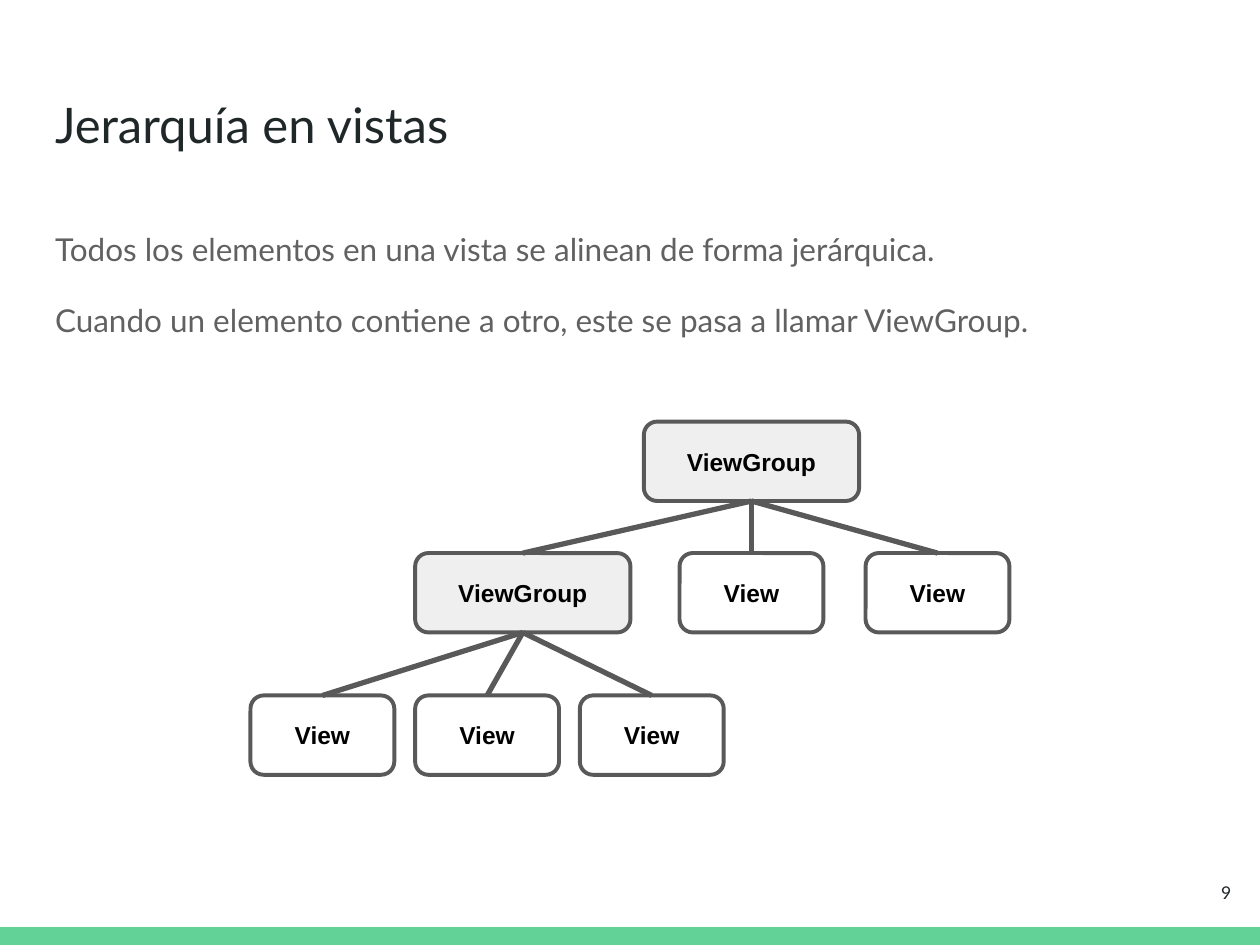
from lxml.etree import SubElement
from pptx import Presentation
from pptx.dml.color import RGBColor
from pptx.enum.shapes import MSO_CONNECTOR, MSO_SHAPE
from pptx.enum.text import MSO_ANCHOR, PP_ALIGN
from pptx.oxml.ns import qn
from pptx.util import Cm, Pt

COLORS = {
    "band": "63D297", "title": "202729", "body": "616161", "node_text": "000000",
    "outline": "595959", "group": "EFEFEF", "view": "FFFFFF",
}
SLIDE_WIDTH, SLIDE_HEIGHT, BAND_HEIGHT = 25.4, 19.05, 0.36
MARGIN, TEXT_WIDTH, INSET = 0.86, 23.67, 0.25
NODE_HEIGHT = 1.6
NODE_WIDTHS = {"ViewGroup": 4.34, "View": 2.9}
NODE_FILLS = {"ViewGroup": "group", "View": "view"}
LEVEL_TOPS = [8.5, 11.15, 14.02]
LEAF_LEFT, LEAF_STEP = 5.05, 3.32

TITLE = ["Jerarquía en vistas"]
BODY = [
    "Todos los elementos en una vista se alinean de forma jerárquica.",
    "Cuando un elemento contiene a otro, este se pasa a llamar ViewGroup.",
]
PAGE_NUMBER = ["9"]

NODES = {
    "root": ("ViewGroup", 0, 12.98),
    "group": ("ViewGroup", 1, LEAF_LEFT + LEAF_STEP),
    "middle": ("View", 1, 13.7),
    "right": ("View", 1, 17.45),
}
LEAVES = ["leaf 1", "leaf 2", "leaf 3"]
for index, name in enumerate(LEAVES):
    NODES[name] = ("View", 2, LEAF_LEFT + index * LEAF_STEP)
CHILDREN = {"root": ["group", "middle", "right"], "group": LEAVES}


def color(name):
    return RGBColor.from_string(COLORS[name])


def write(shape, lines, font, align=PP_ALIGN.LEFT, anchor=MSO_ANCHOR.TOP, spacing=1, gap=0):
    frame = shape.text_frame
    frame_format = {"word_wrap": True, "vertical_anchor": anchor}
    for side in ("left", "top", "right", "bottom"):
        frame_format[f"margin_{side}"] = Cm(INSET)
    for key, value in frame_format.items():
        setattr(frame, key, value)
    for index, line in enumerate(lines):
        paragraph = frame.add_paragraph() if index else frame.paragraphs[0]
        paragraph.alignment = align
        paragraph.line_spacing = spacing
        paragraph.space_before = Pt(gap if index else 0)
        run = paragraph.add_run()
        run.text = line
        for key, value in font.items():
            if key == "color":
                run.font.color.rgb = color(value)
            else:
                setattr(run.font, key, value)


def add_box(slide, kind, left, top, width, height, fill, outline=None):
    shape = slide.shapes.add_shape(kind, Cm(left), Cm(top), Cm(width), Cm(height))
    shape.shadow.inherit = False
    shape.fill.solid()
    shape.fill.fore_color.rgb = color(fill)
    if outline:
        shape.line.color.rgb = color(outline)
        shape.line.width = Pt(2.25)
    else:
        shape.line.fill.background()
    return shape


def add_node(slide, label, level, left):
    shape = add_box(slide, MSO_SHAPE.ROUNDED_RECTANGLE, left, LEVEL_TOPS[level],
                    NODE_WIDTHS[label], NODE_HEIGHT, NODE_FILLS[label], "outline")
    font = {"name": "Arial", "size": Pt(14), "bold": True, "color": "node_text"}
    write(shape, [label], font, PP_ALIGN.CENTER, MSO_ANCHOR.MIDDLE)
    return shape


def add_link(slide, parent, child):
    link = slide.shapes.add_connector(MSO_CONNECTOR.STRAIGHT, 0, 0, 0, 0)
    link.begin_connect(parent, 2)
    link.end_connect(child, 0)
    link.line.color.rgb = color("outline")
    link.line.width = Pt(3)
    SubElement(link.element.spPr, qn("a:effectLst"))


def main():
    presentation = Presentation()
    presentation.slide_width = Cm(SLIDE_WIDTH)
    presentation.slide_height = Cm(SLIDE_HEIGHT)
    slide = presentation.slides.add_slide(presentation.slide_layouts[6])

    add_box(slide, MSO_SHAPE.RECTANGLE, 0, SLIDE_HEIGHT - BAND_HEIGHT,
            SLIDE_WIDTH, BAND_HEIGHT, "band")

    texts = [
        ((MARGIN, 1.65, TEXT_WIDTH, 2.11), TITLE, 28, "title", {}),
        ((MARGIN, 4.27, TEXT_WIDTH, 3.43), BODY, 18, "body", {"spacing": 1.15, "gap": 16}),
        ((23.55, 17.27, 1.52, 1.45), PAGE_NUMBER, 10, "title",
         {"align": PP_ALIGN.RIGHT, "anchor": MSO_ANCHOR.MIDDLE}),
    ]
    for place, lines, size, shade, layout in texts:
        box = slide.shapes.add_textbox(*map(Cm, place))
        write(box, lines, {"name": "Lato", "size": Pt(size), "color": shade}, **layout)

    shapes = {name: add_node(slide, *node) for name, node in NODES.items()}
    for parent, children in CHILDREN.items():
        for child in children:
            add_link(slide, shapes[parent], shapes[child])

    presentation.save("out.pptx")


if __name__ == "__main__":
    main()
